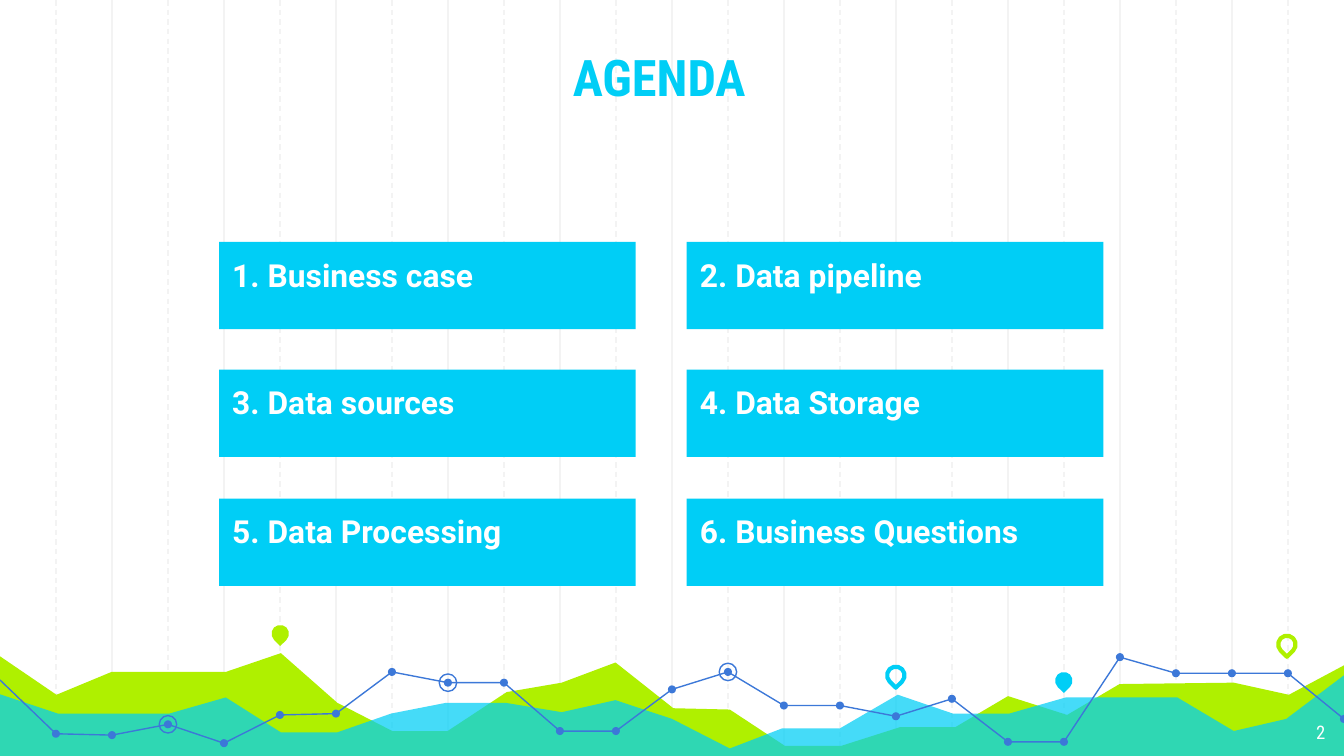
from lxml import etree
from pptx import Presentation
from pptx.dml.color import RGBColor
from pptx.enum.dml import MSO_LINE
from pptx.enum.shapes import MSO_CONNECTOR, MSO_SHAPE
from pptx.enum.text import MSO_ANCHOR, PP_ALIGN
from pptx.oxml.ns import qn
from pptx.util import Inches, Pt

CYAN, LIME, BLUE, GRAY, WHITE = "00CEF6", "AFF000", "3C78D8", "F3F3F3", "FFFFFF"

TITLE = "AGENDA"
PAGE_NUMBER = "2"
TOPICS = [
    "1. Business case", "2. Data pipeline",
    "3. Data sources", "4. Data Storage",
    "5. Data Processing", "6. Business Questions",
]
LIME_AREA = [
    (-0.02, 4.87), (0.42, 5.17), (0.83, 5), (1.68, 5), (2.09, 4.86), (2.51, 5.23),
    (2.92, 5.44), (3.33, 5.44), (3.77, 5.15), (4.18, 5.08), (4.58, 4.93), (5.01, 5.27),
    (5.43, 5.28), (5.84, 5.55), (6.26, 5.55), (6.7, 5.41), (7.11, 5.41), (7.5, 5.18),
    (7.94, 5.32), (8.33, 5.09), (9.18, 5.08), (9.59, 5.17), (10.02, 4.94),
    (10.02, 5.64), (-0.03, 5.64),
]
CYAN_AREA = [
    (-0.02, 5.16), (0.43, 5.31), (1.26, 5.31), (1.68, 5.19), (2.09, 5.45), (2.51, 5.45),
    (2.91, 5.31), (3.32, 5.23), (3.76, 5.23), (4.18, 5.3), (4.58, 5.21), (5, 5.35),
    (5.43, 5.57), (5.82, 5.42), (6.25, 5.42), (6.68, 5.17), (7.09, 5.31), (7.51, 5.31),
    (7.93, 5.19), (8.76, 5.19), (9.18, 5.44), (9.57, 5.35), (10.02, 5.01),
    (10.02, 5.65), (-0.03, 5.65),
]
TREND_HEIGHTS = [
    5.06, 5.46, 5.47, 5.39, 5.53, 5.32, 5.31, 5, 5.08, 5.08, 5.44, 5.44, 5.13,
    5, 5.25, 5.25, 5.33, 5.2, 5.52, 5.52, 4.89, 5.01, 5.01, 5.01, 5.35,
]
RINGED_POINTS = [3, 8, 13]
PINS = [
    (2.02, 4.65, LIME, True), (6.6, 4.96, CYAN, False),
    (7.85, 5, CYAN, True), (9.51, 4.73, LIME, False),
]
GRID_STEP = 10 / 24
DOT_SIZE, RING_SIZE = 0.06, 0.13
CARD_LEFTS = [1.63, 5.11]
CARD_TOPS = [1.8, 2.75, 3.71]

presentation = Presentation()
presentation.slide_width = Inches(10)
presentation.slide_height = Inches(10) * 9 // 16
slide = presentation.slides.add_slide(presentation.slide_layouts[6])


def color(value):
    return RGBColor.from_string(value)


def paint(shape, fill=None, line=None, weight=0.75):
    shape.shadow.inherit = False
    if fill:
        shape.fill.solid()
        shape.fill.fore_color.rgb = color(fill)
    else:
        shape.fill.background()
    if line:
        shape.line.color.rgb = color(line)
        shape.line.width = Pt(weight)
    else:
        shape.line.fill.background()


def add_preset(kind, left, top, width, height, **style):
    shape = slide.shapes.add_shape(kind, Inches(left), Inches(top), Inches(width), Inches(height))
    paint(shape, **style)
    return shape


def add_circle(center_x, center_y, size, **style):
    add_preset(MSO_SHAPE.OVAL, center_x - size / 2, center_y - size / 2, size, size, **style)


def add_path(points, close, **style):
    corners = [(Inches(x), Inches(y)) for x, y in points]
    builder = slide.shapes.build_freeform(*corners[0])
    builder.add_line_segments(corners[1:], close=close)
    shape = builder.convert_to_shape()
    paint(shape, **style)
    return shape


def write(shape, text, size, font, text_color, bold=False, align=PP_ALIGN.LEFT,
          anchor=MSO_ANCHOR.TOP, space_before=0):
    frame = shape.text_frame
    frame.word_wrap = True
    frame.vertical_anchor = anchor
    frame.margin_left = frame.margin_right = Inches(0.1)
    frame.margin_top = frame.margin_bottom = Inches(0.1)
    paragraph = frame.paragraphs[0]
    paragraph.text = text
    paragraph.alignment = align
    paragraph.space_before = Pt(space_before)
    paragraph.font.size = Pt(size)
    paragraph.font.name = font
    paragraph.font.bold = bold
    paragraph.font.color.rgb = color(text_color)


def add_text(left, top, width, height, *content, **style):
    box = slide.shapes.add_textbox(Inches(left), Inches(top), Inches(width), Inches(height))
    write(box, *content, **style)


for index in range(1, 24):
    x = Inches(index * GRID_STEP)
    grid_line = slide.shapes.add_connector(MSO_CONNECTOR.STRAIGHT, x, 0, x, Inches(5.65))
    grid_line.line.color.rgb = color(GRAY)
    grid_line.line.width = Pt(0.75)
    if index % 2:
        grid_line.line.dash_style = MSO_LINE.DASH
    etree.SubElement(grid_line._element.spPr, qn("a:effectLst"))

add_path(LIME_AREA, True, fill=LIME)
cyan_area = add_path(CYAN_AREA, True, fill=CYAN)
fill_color = cyan_area._element.spPr.find(qn("a:solidFill"))[0]
etree.SubElement(fill_color, qn("a:alpha"), val="73000")

trend = [(index * GRID_STEP, y) for index, y in enumerate(TREND_HEIGHTS)]
add_path(trend, False, line=BLUE)
for x, y in trend[1:]:
    add_circle(x, y, DOT_SIZE, fill=BLUE)
for index in RINGED_POINTS:
    add_circle(*trend[index], RING_SIZE, line=BLUE)

for left, top, pin_color, solid in PINS:
    style = {"fill": pin_color} if solid else {"line": pin_color, "weight": 2.25}
    pin = add_preset(MSO_SHAPE.TEAR, left, top, 0.13, 0.13, **style)
    pin.rotation = 135

add_text(1.08, 0.11, 7.65, 0.78, TITLE, 27, "Roboto Condensed", CYAN,
         bold=True, align=PP_ALIGN.CENTER, anchor=MSO_ANCHOR.BOTTOM)
add_text(9.36, 5.28, 0.6, 0.35, PAGE_NUMBER, 10, "Roboto Condensed", WHITE,
         align=PP_ALIGN.RIGHT)

for index, topic in enumerate(TOPICS):
    row, column = divmod(index, 2)
    card = add_preset(MSO_SHAPE.RECTANGLE, CARD_LEFTS[column], CARD_TOPS[row],
                      3.1, 0.65, fill=CYAN)
    write(card, topic, 17, "Roboto", WHITE, bold=True, space_before=6)

presentation.save("out.pptx")
